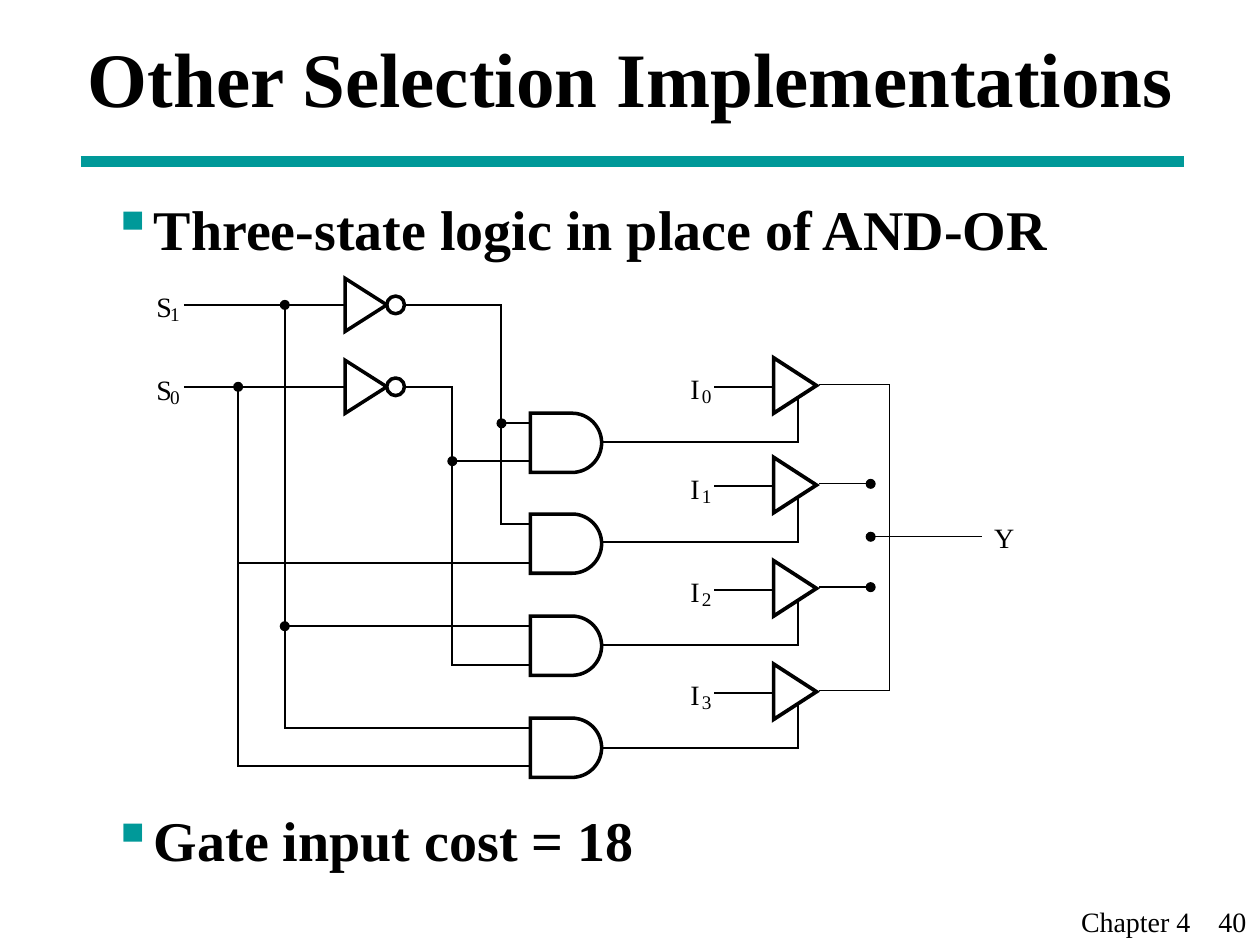
from dataclasses import dataclass
from math import cos, pi, sin
from typing import NamedTuple, Optional

from lxml.etree import SubElement
from pptx import Presentation
from pptx.dml.color import RGBColor
from pptx.enum.shapes import MSO_CONNECTOR, MSO_SHAPE
from pptx.enum.text import MSO_ANCHOR
from pptx.oxml.ns import qn
from pptx.util import Emu, Inches, Pt

COLUMNS, ROWS = 1000, 750


@dataclass(frozen=True)
class Theme:
    font: str = "Times New Roman"
    ink: RGBColor = RGBColor(0, 0, 0)
    paper: RGBColor = RGBColor(255, 255, 255)
    accent: RGBColor = RGBColor(0, 0x99, 0x99)
    title: int = 44
    body: int = 32
    label: int = 16
    subscript: int = 11
    rule: float = 6
    buffer: float = 2.13
    gate: float = 2
    wire: float = 1.13
    bus: float = 0.75


class Point(NamedTuple):
    column: float
    row: float


class Box(NamedTuple):
    column: float
    row: float
    width: float
    height: float


class Channel(NamedTuple):
    index: int
    buffer_row: int
    gate_row: int


class Selector(NamedTuple):
    index: int
    row: int
    label_row: int


THEME = Theme()
CHANNELS = [
    Channel(0, 284, 328),
    Channel(1, 363, 408),
    Channel(2, 445, 489),
    Channel(3, 527, 570),
]
SELECTORS = [Selector(1, 242, 230), Selector(0, 307, 296)]

deck = Presentation()
deck.slide_width, deck.slide_height = Inches(10), Inches(7.5)
slide = deck.slides.add_slide(deck.slide_layouts[6])
shapes = slide.shapes


def across(columns: float) -> Emu:
    return Emu(round(deck.slide_width * columns / COLUMNS))


def down(rows: float) -> Emu:
    return Emu(round(deck.slide_height * rows / ROWS))


def place(box: Box) -> tuple:
    return across(box.column), down(box.row), across(box.width), down(box.height)


def draw_line(start: Point, end: Point, width: float, color: RGBColor = THEME.ink) -> None:
    line = shapes.add_connector(
        MSO_CONNECTOR.STRAIGHT,
        across(start.column), down(start.row), across(end.column), down(end.row),
    )
    line.line.color.rgb = color
    line.line.width = Pt(width)
    SubElement(line._element.spPr, qn("a:effectLst"))


def draw_outline(points: list, width: float, closed: bool = False) -> None:
    corners = [(across(column), down(row)) for column, row in points]
    builder = shapes.build_freeform(*corners[0])
    builder.add_line_segments(corners[1:], close=closed)
    outline = builder.convert_to_shape()
    outline.shadow.inherit = False
    if closed:
        outline.fill.solid()
        outline.fill.fore_color.rgb = THEME.paper
    else:
        outline.fill.background()
    outline.line.color.rgb = THEME.ink
    outline.line.width = Pt(width)
    SubElement(outline._element.spPr.find(qn("a:ln")), qn("a:miter"), lim="800000")


def draw_circle(box: Box, fill: RGBColor, width: Optional[float] = None) -> None:
    circle = shapes.add_shape(MSO_SHAPE.OVAL, *place(box))
    circle.shadow.inherit = False
    circle.fill.solid()
    circle.fill.fore_color.rgb = fill
    if width is None:
        circle.line.fill.background()
    else:
        circle.line.color.rgb = THEME.ink
        circle.line.width = Pt(width)


def draw_junction(center: Point) -> None:
    draw_circle(Box(center.column - 4, center.row - 4, 8, 8), THEME.ink)


def draw_triangle(left: float, top: float, width: float, height: float, line: float) -> None:
    corners = [(left, top), (left, top + height), (left + width, top + height / 2)]
    draw_outline(corners, line, closed=True)


def draw_and_gate(top: float) -> None:
    radius, left, shoulder = 23.5, 421, 454
    turns = [pi / 2 - pi * step / 32 for step in range(33)]
    arc = [(shoulder + radius * cos(t), top + radius + radius * sin(t)) for t in turns]
    draw_outline([(left, top), (left, top + 2 * radius), *arc], THEME.gate, closed=True)


def add_text(box: Box, lines: list, size: int, bold: bool = False,
             margins: tuple = (0, 0, 0, 0), wrap: bool = False):
    frame = shapes.add_textbox(*place(box)).text_frame
    frame.word_wrap = wrap
    frame.margin_left, frame.margin_right = across(margins[0]), across(margins[2])
    frame.margin_top, frame.margin_bottom = down(margins[1]), down(margins[3])
    frame.text = "\n".join(lines)
    for paragraph in frame.paragraphs:
        for run in paragraph.runs:
            run.font.name = THEME.font
            run.font.size = Pt(size)
            run.font.bold = bold
            run.font.color.rgb = THEME.ink
    return frame


def add_signal(letter: str, index: int, letter_at: Point, offset: float) -> None:
    column, row = letter_at
    add_text(Box(column, row, offset, 27), [letter], THEME.label)
    add_text(Box(column + offset, row + 10, 9, 18), [str(index)], THEME.subscript)


def add_bullet(paragraph) -> None:
    properties = paragraph._p.get_or_add_pPr()
    properties.set("marL", str(across(32)))
    properties.set("indent", str(-across(32)))
    color = SubElement(properties, qn("a:buClr"))
    SubElement(color, qn("a:srgbClr"), val=str(THEME.accent))
    SubElement(properties, qn("a:buChar"), char="▪")


def add_slide_text() -> None:
    draw_line(Point(64, 128), Point(940, 128), THEME.rule, THEME.accent)
    footer = add_text(Box(821, 713, 178, 37), ["Chapter 4\t40"], THEME.label, margins=(37, 5, 0, 5))
    stops = SubElement(footer.paragraphs[0]._p.get_or_add_pPr(), qn("a:tabLst"))
    SubElement(stops, qn("a:tab"), pos=str(across(109)), algn="l")
    title = add_text(Box(60, 0, 900, 112), ["Other Selection Implementations"],
                     THEME.title, True, (10, 10, 10, 0), True)
    title.vertical_anchor = MSO_ANCHOR.MIDDLE
    body = add_text(Box(79, 144, 850, 550),
                    ["Three-state logic in place of AND-OR", "Gate input cost = 18"],
                    THEME.body, True, (10, 10, 10, 5), True)
    for paragraph in body.paragraphs:
        add_bullet(paragraph)
    body.paragraphs[1].space_before = Pt(311)


def draw_decoder() -> None:
    wires = [
        [(146, 242), (398, 242), (398, 416), (421, 416)],
        [(146, 307), (359, 307), (359, 528), (421, 528)],
        [(226, 242), (226, 578), (421, 578)],
        [(189, 307), (189, 608), (421, 608)],
    ]
    for wire in wires:
        draw_outline(wire, THEME.wire)
    for column, row in [(398, 336), (359, 366), (189, 447), (226, 497)]:
        draw_line(Point(column, row), Point(421, row), THEME.wire)
    for selector in SELECTORS:
        draw_triangle(274, selector.row - 21, 33, 42, THEME.gate)
        draw_circle(Box(307, selector.row - 7, 14, 14), THEME.paper, THEME.gate)
        add_signal("S", selector.index, Point(124, selector.label_row), 11)
    for junction in [(226, 242), (189, 307), (226, 497), (359, 366), (398, 336)]:
        draw_junction(Point(*junction))


def draw_channel(channel: Channel) -> None:
    top = channel.buffer_row
    enable_row, input_row = top + 67, top + 23
    draw_outline([(472, enable_row), (633, enable_row), (633, top + 32)], THEME.wire)
    draw_line(Point(567, input_row), Point(614, input_row), THEME.wire)
    add_signal("I", channel.index, Point(548, top + 11), 9)
    draw_triangle(614, top, 34, 44, THEME.buffer)
    draw_and_gate(channel.gate_row)


def draw_output() -> None:
    first, *inner, last = [channel.buffer_row + 21 for channel in CHANNELS]
    draw_outline([(650, first), (706, first), (706, last), (650, last)], THEME.bus)
    for row in inner:
        draw_line(Point(650, row), Point(687, row), THEME.bus)
    for row in [*inner, 426]:
        draw_junction(Point(691, row))
    draw_line(Point(694, 426), Point(779, 426), THEME.bus)
    add_text(Box(789, 413, 16, 27), ["Y"], THEME.label)


add_slide_text()
draw_decoder()
for channel in CHANNELS:
    draw_channel(channel)
draw_output()
deck.save("out.pptx")
